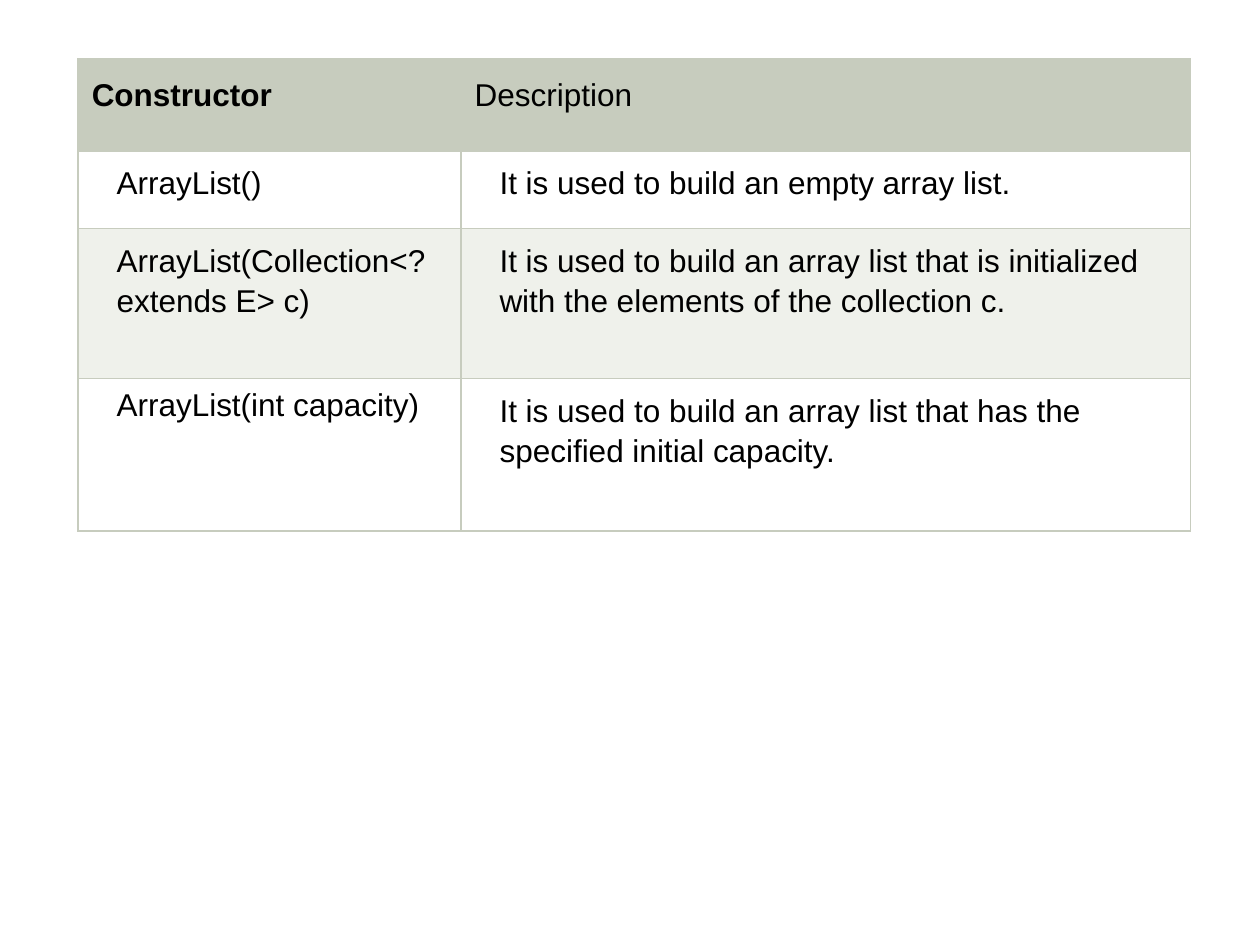
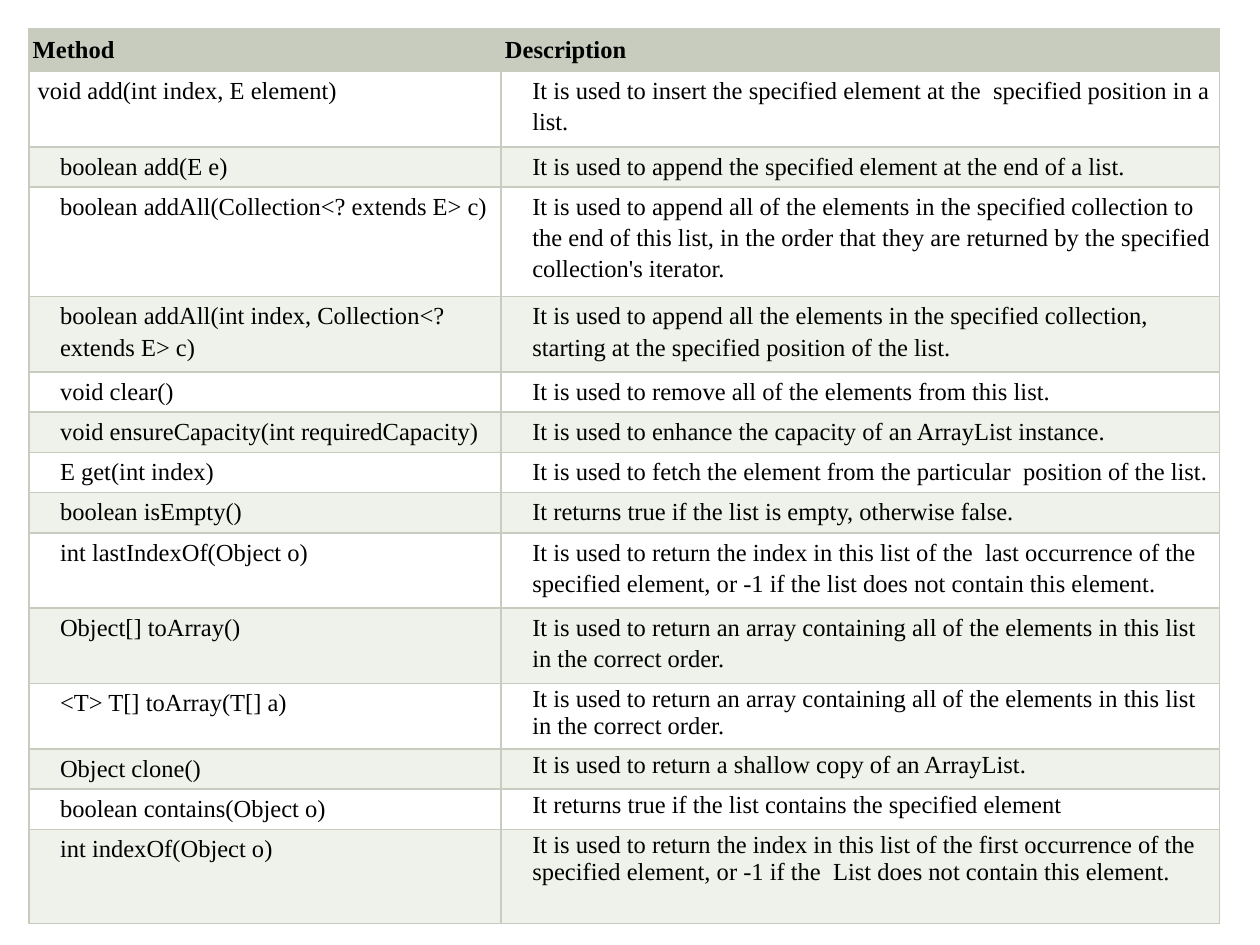
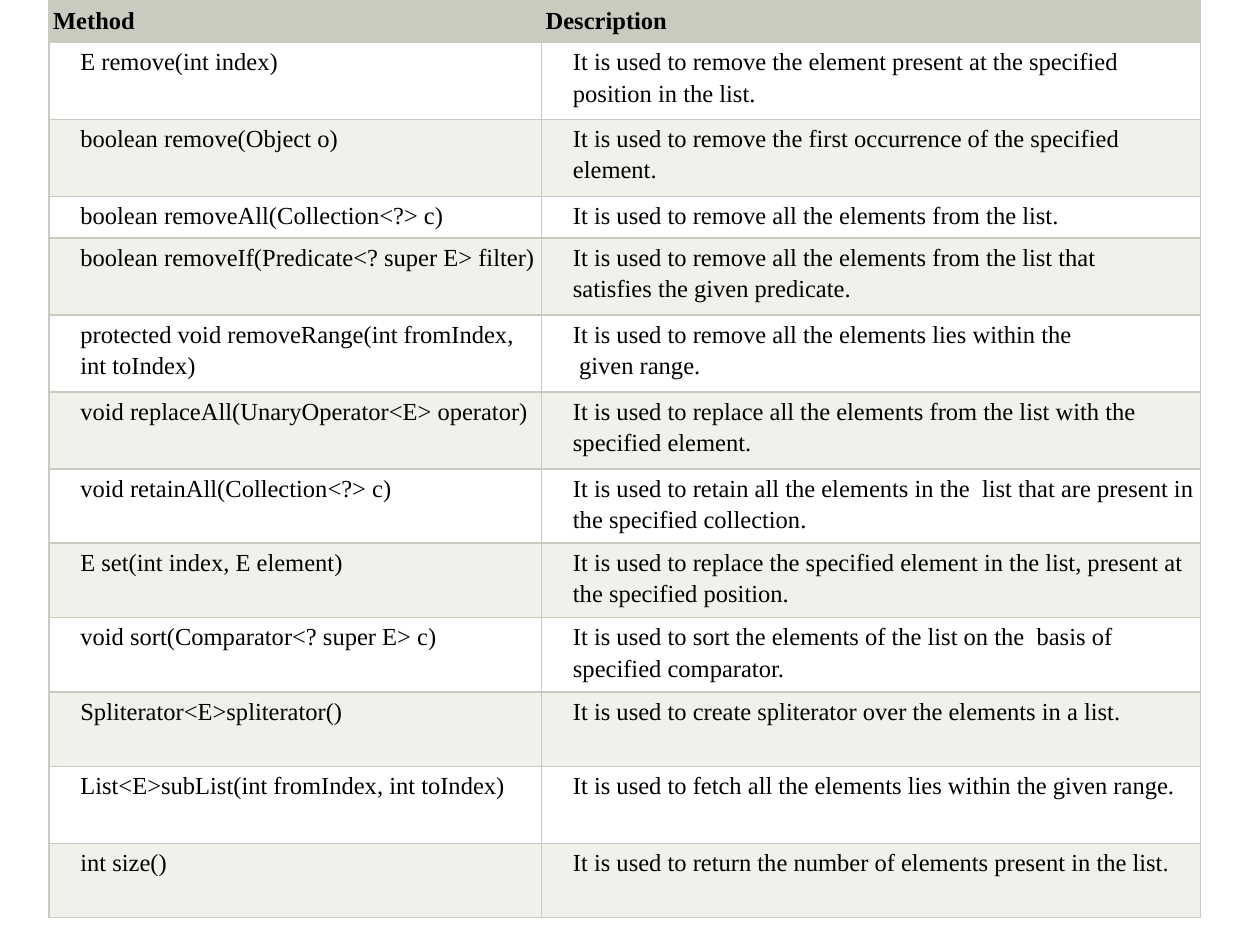
"""Builds three slides of tables on ArrayList constructors and methods."""
from lxml import etree
from pptx import Presentation
from pptx.dml.color import RGBColor
from pptx.oxml.ns import qn
from pptx.util import Cm, Pt

HUES = {"head": "C7CCBE", "line": "C7CCBE", "plain": "FFFFFF", "band": "EFF1EB", "text": "000000"}
INDENT = 0.58

builds = [
    (1.85, "Constructor", "Description"),
    (1.57, "ArrayList()", "It is used to build an empty array list."),
    (3.02, "ArrayList(Collection<? extends E> c)",
     "It is used to build an array list that is initialized with the elements of the collection c."),
    (3.07, "ArrayList(int capacity)",
     "It is used to build an array list that has the specified initial capacity."),
]
adds = [
    (0.86, "Method", "Description"),
    (1.52, "void add(int index, E element)",
     "It is used to insert the specified element at the  specified position in a list."),
    (0.81, "boolean add(E e)", "It is used to append the specified element at the end of a list."),
    (2.21, "boolean addAll(Collection<? extends E> c)",
     "It is used to append all of the elements in the specified collection to the end of this list, "
     "in the order that they are returned by the specified collection's iterator."),
    (1.52, "boolean addAll(int index, Collection<? extends E> c)",
     "It is used to append all the elements in the specified collection, "
     "starting at the specified position of the list."),
    (0.81, "void clear()", "It is used to remove all of the elements from this list."),
    (0.81, "void ensureCapacity(int requiredCapacity)",
     "It is used to enhance the capacity of an ArrayList instance."),
    (0.81, "E get(int index)",
     "It is used to fetch the element from the particular  position of the list."),
    (0.81, "boolean isEmpty()", "It returns true if the list is empty, otherwise false."),
    (1.52, "int lastIndexOf(Object o)",
     "It is used to return the index in this list of the  last occurrence of the specified element, "
     "or -1 if the list does not contain this element."),
    (1.52, "Object[] toArray()",
     "It is used to return an array containing all of the elements in this list in the correct order."),
    (1.32, "<T> T[] toArray(T[] a)",
     "It is used to return an array containing all of the elements in this list in the correct order."),
    (0.81, "Object clone()", "It is used to return a shallow copy of an ArrayList."),
    (0.81, "boolean contains(Object o)", "It returns true if the list contains the specified element"),
    (1.9, "int indexOf(Object o)",
     "It is used to return the index in this list of the first occurrence of the specified element, "
     "or -1 if the  List does not contain this element."),
]
edits = [
    (0.86, "Method", "Description"),
    (1.55, "E remove(int index)",
     "It is used to remove the element present at the specified position in the list."),
    (1.55, "boolean remove(Object o)",
     "It is used to remove the first occurrence of the specified element."),
    (0.84, "boolean removeAll(Collection<?> c)", "It is used to remove all the elements from the list."),
    (1.55, "boolean removeIf(Predicate<? super E> filter)",
     "It is used to remove all the elements from the list that\nsatisfies the given predicate."),
    (1.55, "protected void removeRange(int fromIndex, int toIndex)",
     "It is used to remove all the elements lies within the\n given range."),
    (1.55, "void replaceAll(UnaryOperator<E> operator)",
     "It is used to replace all the elements from the list with the specified element."),
    (1.5, "void retainAll(Collection<?> c)",
     "It is used to retain all the elements in the  list that are present in the specified collection."),
    (1.5, "E set(int index, E element)",
     "It is used to replace the specified element in the list, present at the specified position."),
    (1.5, "void sort(Comparator<? super E> c)",
     "It is used to sort the elements of the list on the  basis of specified comparator."),
    (1.5, "Spliterator<E>spliterator()",
     "It is used to create spliterator over the elements in a list."),
    (1.55, "List<E>subList(int fromIndex, int toIndex)",
     "It is used to fetch all the elements lies within the given range."),
    (1.5, "int size()", "It is used to return the number of elements present in the list."),
]

times = {"font": "Times New Roman", "size": 14, "pads": (0.08, 0.05), "bold": (0, 1)}
pages = [
    {"rows": builds, "at": (1.57, 1.19), "cols": (7.72, 14.71), "tight": {(3, 0)}, "dents": {},
     "font": "Arial", "size": 18, "pads": (0.28, 0.2), "bold": (0,)},
    {"rows": adds, "at": (0.58, 0.58), "cols": (9.52, 14.48),
     "tight": {(row, 1) for row in range(11, 15)}, "dents": {(1, 0): 0.13}, **times},
    {"rows": edits, "at": (0.99, 0), "cols": (9.93, 13.28), "tight": set(), "dents": {}, **times},
]


def edge(cell):
    props = cell._tc.get_or_add_tcPr()
    for side in ("lnL", "lnR", "lnT", "lnB"):
        line = etree.SubElement(props, qn("a:" + side), w=str(Pt(1)))
        fill = etree.SubElement(line, qn("a:solidFill"))
        etree.SubElement(fill, qn("a:srgbClr"), val=HUES["line"])


def write(cell, text, page, spot):
    head = spot[0] == 0
    for num, part in enumerate(text.split("\n")):
        para = cell.text_frame.add_paragraph() if num else cell.text_frame.paragraphs[0]
        para.line_spacing = 1.0 if spot in page["tight"] else 1.15
        dent = 0 if head else page["dents"].get(spot, INDENT)
        props = para._p.get_or_add_pPr()
        props.set("marL", str(Cm(dent)))
        props.set("indent", "0")
        run = para.add_run()
        run.text = part
        run.font.name = page["font"]
        run.font.size = Pt(page["size"])
        run.font.bold = head and spot[1] in page["bold"]
        run.font.color.rgb = RGBColor.from_string(HUES["text"])


deck = Presentation()
deck.slide_width, deck.slide_height = Cm(25.4), Cm(19.05)

for page in pages:
    slide = deck.slides.add_slide(deck.slide_layouts[6])
    rows, cols = page["rows"], page["cols"]
    left, top = page["at"]
    high = sum(row[0] for row in rows)
    grid = slide.shapes.add_table(len(rows), len(cols), Cm(left), Cm(top), Cm(sum(cols)), Cm(high)).table
    grid.first_row = grid.horz_banding = False
    for col, wide in enumerate(cols):
        grid.columns[col].width = Cm(wide)
    for row, (tall, *texts) in enumerate(rows):
        grid.rows[row].height = Cm(tall)
        hue = "head" if row == 0 else "plain" if row % 2 else "band"
        pad = Cm(page["pads"][min(row, 1)])
        for col, text in enumerate(texts):
            cell = grid.cell(row, col)
            cell.margin_left = cell.margin_right = cell.margin_top = cell.margin_bottom = pad
            edge(cell)
            cell.fill.solid()
            cell.fill.fore_color.rgb = RGBColor.from_string(HUES[hue])
            write(cell, text, page, (row, col))

deck.save("out.pptx")
